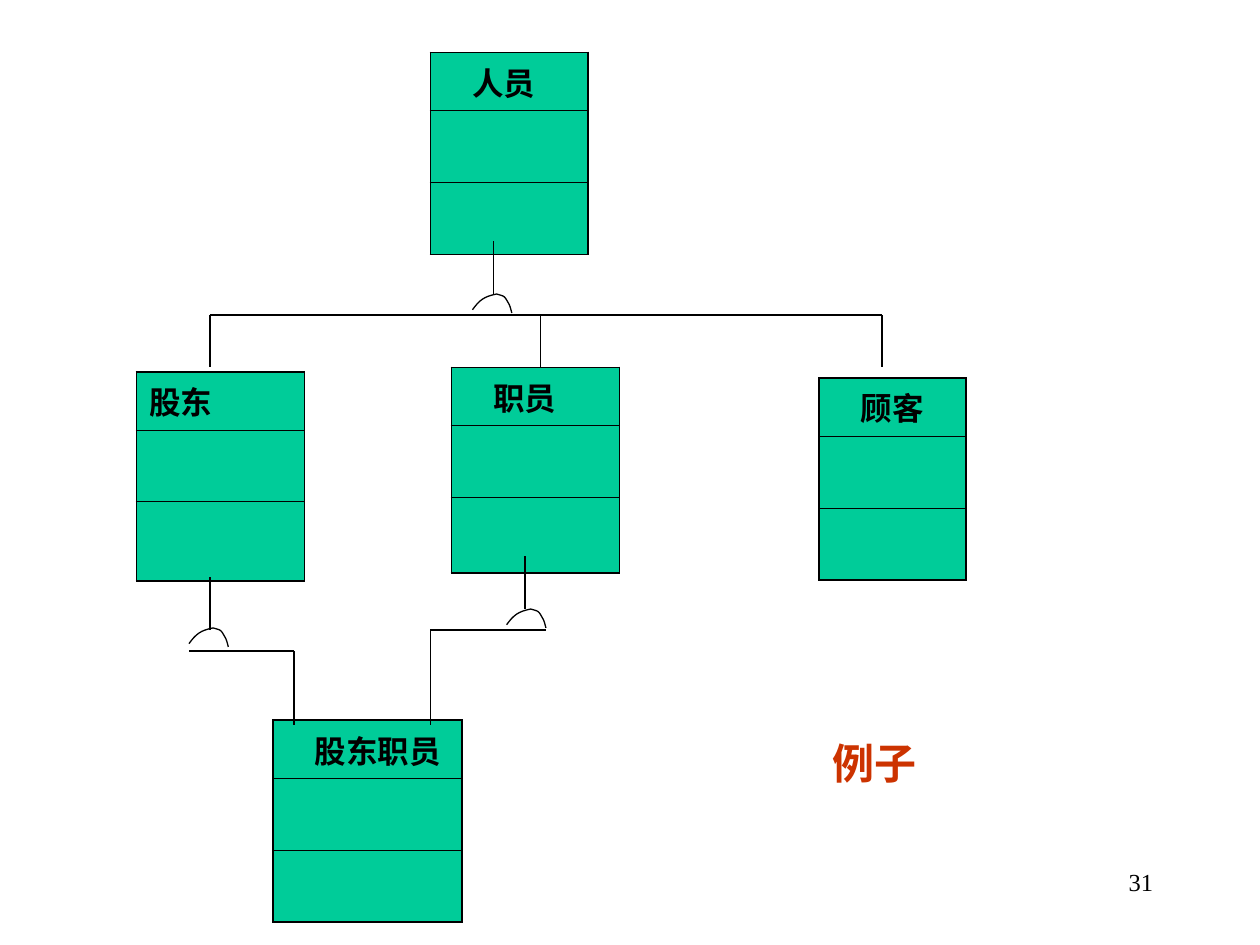
from typing import NamedTuple

from lxml import etree
from pptx import Presentation
from pptx import util as u
from pptx.dml.color import RGBColor
from pptx.enum import text
from pptx.oxml import ns

WIDE, HIGH = u.Inches(10), u.Inches(7.5)
COLS = 120
UNIT = WIDE / COLS
FACE = "Times New Roman"
INK, GREEN, RED = "000000", "00CC99", "CC3300"
HEAD, BODY = 4.8, 6.85
THIN, THICK = 0.45, 1.08


class Box(NamedTuple):
    name: str
    col: float
    row: float
    wide: float
    foot: float = BODY
    pad: float = 4


class Line(NamedTuple):
    x1: float
    y1: float
    x2: float
    y2: float


class Spot(NamedTuple):
    x: float
    y: float


BOXES = [
    Box("职员", 43, 35, 16, foot=7.2),
    Box("股东", 13, 35.4, 16, foot=7.55, pad=1.2),
    Box("顾客", 78, 36, 14),
    Box("人员", 41, 5, 15),
    Box("股东职员", 26, 68.6, 18),
]
LINES = [
    Line(47, 23, 47, 28),
    Line(20, 30, 84, 30),
    *(Line(x, 30, x, 35) for x in (20, 51.5, 84)),
    Line(20, 55, 20, 60),
    Line(50, 53, 50, 58),
    Line(18, 62, 28, 62),
    Line(41, 60, 52, 60),
    Line(28, 62, 28, 69),
    Line(41, 60, 41, 69),
]
ARCS = [Spot(18, 59.8), Spot(45, 28), Spot(48.25, 58)]
CURVE = [
    (Spot(0, 1.5), Spot(0.7, 0.55), Spot(1.1, 0.25), Spot(2.3, 0)),
    (Spot(2.3, 0), Spot(3.1, 0.25), Spot(3, 0.1), Spot(3.5, 1)),
    (Spot(3.5, 1), Spot(3.6, 1.2), Spot(3.75, 1.8), Spot(3.75, 1.8)),
]
STEPS = 8


def grid(n: float) -> int:
    return round(n * UNIT)


def tint(code: str) -> RGBColor:
    return RGBColor.from_string(code)


def style(para, size: float, code: str = INK, bold: bool = False) -> None:
    font = para.font
    font.name, font.size, font.bold = FACE, u.Pt(size), bold
    font.color.rgb = tint(code)


def edge(cell, top: float, base: float) -> None:
    props = cell._tc.get_or_add_tcPr()
    sides = [("L", THICK), ("R", THICK), ("T", top), ("B", base)]
    for i, (side, size) in enumerate(sides):
        line = etree.Element(ns.qn(f"a:ln{side}"), w=str(u.Pt(size)))
        fill = etree.SubElement(line, ns.qn("a:solidFill"))
        etree.SubElement(fill, ns.qn("a:srgbClr"), val=INK)
        props.insert(i, line)


def draw_box(slide, box: Box) -> None:
    rows = [HEAD, BODY, box.foot]
    frame = slide.shapes.add_table(
        len(rows), 1, grid(box.col), grid(box.row), grid(box.wide), grid(sum(rows)))
    table = frame.table
    table.first_row = table.horz_banding = False
    for i, high in enumerate(rows):
        table.rows[i].height = grid(high)
        cell = table.cell(i, 0)
        cell.fill.solid()
        cell.fill.fore_color.rgb = tint(GREEN)
        edge(cell, THIN if i else THICK, THICK if i == len(rows) - 1 else THIN)
    title = table.cell(0, 0)
    title.margin_left = grid(box.pad)
    title.text = box.name
    style(title.text_frame.paragraphs[0], 18, bold=True)


def pen(shape) -> None:
    shape.line.color.rgb = tint(INK)
    shape.line.width = u.Pt(0.75)


def draw_line(slide, line: Line) -> None:
    shape = slide.shapes.add_connector(1, *(grid(n) for n in line))
    pen(shape)
    etree.SubElement(shape._element.spPr, ns.qn("a:effectLst"))


def blend(a: float, b: float, c: float, d: float, t: float) -> float:
    s = 1 - t
    return s**3 * a + 3 * s * s * t * b + 3 * s * t * t * c + t**3 * d


def draw_arc(slide, at: Spot) -> None:
    dots = [
        (grid(at.x + blend(*(p.x for p in part), i / STEPS)),
         grid(at.y + blend(*(p.y for p in part), i / STEPS)))
        for part in CURVE for i in range(1, STEPS + 1)
    ]
    first = CURVE[0][0]
    path = slide.shapes.build_freeform(grid(at.x + first.x), grid(at.y + first.y))
    path.add_line_segments(dots, close=False)
    shape = path.convert_to_shape()
    shape.shadow.inherit = False
    shape.fill.background()
    pen(shape)


def draw_title(slide) -> None:
    title = slide.shapes.title
    title.left, title.top = grid(78.1), grid(69.6)
    title.width, title.height = grid(16), grid(6)
    frame = title.text_frame
    frame.text = "例子"
    frame.auto_size = text.MSO_AUTO_SIZE.NONE
    frame.vertical_anchor = text.MSO_ANCHOR.TOP
    para = frame.paragraphs[0]
    para.alignment = text.PP_ALIGN.LEFT
    style(para, 24, RED, True)


def draw_page(slide) -> None:
    frame = slide.shapes.add_textbox(grid(86), grid(82), grid(25), grid(6)).text_frame
    frame.word_wrap = True
    frame.text = "31"
    para = frame.paragraphs[0]
    para.alignment = text.PP_ALIGN.RIGHT
    style(para, 14)


def main() -> None:
    deck = Presentation()
    deck.slide_width, deck.slide_height = WIDE, HIGH
    slide = deck.slides.add_slide(deck.slide_layouts[5])
    for box in BOXES:
        draw_box(slide, box)
    for line in LINES:
        draw_line(slide, line)
    for at in ARCS:
        draw_arc(slide, at)
    draw_title(slide)
    draw_page(slide)
    deck.save("out.pptx")


if __name__ == "__main__":
    main()
